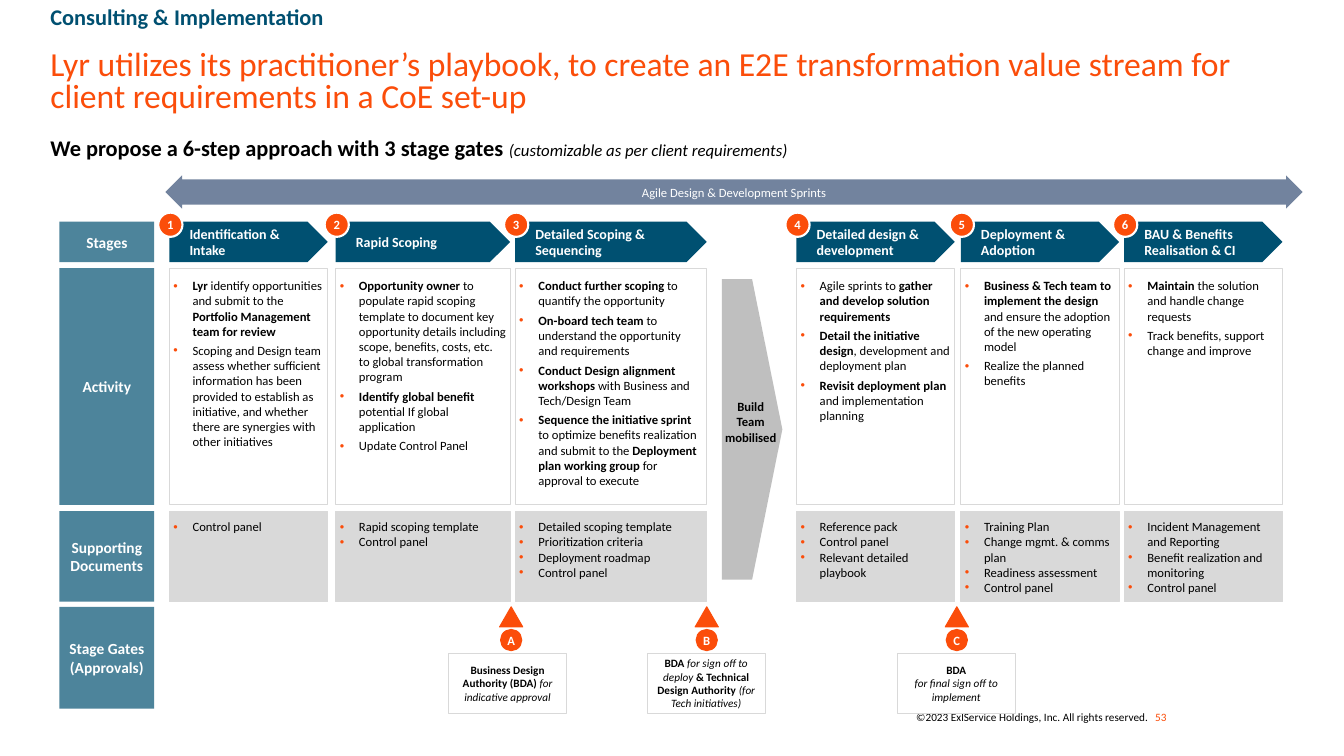
from lxml.etree import SubElement
from pptx import Presentation
from pptx.dml.color import RGBColor
from pptx.enum.shapes import MSO_SHAPE as Shape
from pptx.enum.text import MSO_ANCHOR as Anchor, PP_ALIGN as Align
from pptx.oxml.ns import qn
from pptx.util import Inches, Pt

ORANGE, NAVY, TEAL, SLATE = "FB4D0A", "005071", "4D849B", "72839E"
BLACK, WHITE, PALE, GREY = "000000", "FFFFFF", "D9D9D9", "BFBFBF"


def write(box, texts, size, color=BLACK, insets=(0, 0, 0, 0), align=Align.LEFT,
          anchor=Anchor.MIDDLE, bold=False, italic=False, bullet=False, gap=0, spacing=1.0):
    frame = box.text_frame
    frame.word_wrap = True
    frame.vertical_anchor = anchor
    frame.margin_left, frame.margin_top, frame.margin_right, frame.margin_bottom = map(Inches, insets)
    for number, text in enumerate(texts):
        para = frame.add_paragraph() if number else frame.paragraphs[0]
        para.alignment = align
        para.line_spacing = spacing
        para.space_before = Pt(gap if number else 0)
        if bullet:
            props = para._p.get_or_add_pPr()
            props.set("marL", str(Inches(0.19)))
            props.set("indent", str(Inches(-0.19)))
            SubElement(SubElement(props, qn("a:buClr")), qn("a:srgbClr"), val=ORANGE)
            SubElement(props, qn("a:buFont"), typeface="Arial")
            SubElement(props, qn("a:buChar"), char="•")
        para.font.name = "Calibri"
        para.font.size = Pt(size)
        para.font.color.rgb = RGBColor.from_string(color)
        for index, part in enumerate(text.split("*")):
            if part:
                span = para.add_run()
                span.text = part
                span.font.bold = bold or index % 2 == 1
                span.font.italic = italic and index % 2 == 0


def draw(kind, left, top, width, height, fill=None, line=None, weight=0.75):
    shape = page.shapes.add_shape(kind, *map(Inches, (left, top, width, height)))
    shape.shadow.inherit = False
    if fill:
        shape.fill.solid()
        shape.fill.fore_color.rgb = RGBColor.from_string(fill)
    else:
        shape.fill.background()
    if line:
        shape.line.color.rgb = RGBColor.from_string(line)
        shape.line.width = Pt(weight)
    else:
        shape.line.fill.background()
    return shape


deck = Presentation()
deck.slide_width, deck.slide_height = Inches(13.33), Inches(7.5)
page = deck.slides.add_slide(deck.slide_layouts[5])

title = page.shapes.title
title.left, title.top, title.width, title.height = map(Inches, (0.5, 0.5, 12.33, 0.74))
write(title, ["Lyr utilizes its practitioner’s playbook, to create an E2E transformation value stream "
              "for client requirements in a CoE set-up"], 24, ORANGE, anchor=Anchor.TOP, spacing=0.8)

EDGE = (0.1, 0.05, 0.1, 0.05)
captions = [
    ((0.5, 0.06, 9.09, 0.25), "*Consulting & Implementation*", 16, NAVY,
     dict(spacing=0.9)),
    ((0.5, 1.31, 12.5, 0.34), "*We propose a 6-step approach with 3 stage gates *(customizable as per client requirements)",
     16, BLACK, dict(insets=(0, 0.05, 0.1, 0.05), italic=True, spacing=0.9)),
    ((8.81, 7, 2.68, 0.24), "©2023 ExlService Holdings, Inc. All rights reserved.", 8, BLACK,
     dict(insets=EDGE, align=Align.RIGHT)),
    ((11.36, 7, 0.63, 0.24), "53", 8, ORANGE, dict(insets=EDGE)),
]
for place, text, size, color, style in captions:
    caption = page.shapes.add_textbox(*map(Inches, place))
    write(caption, [text], size, color, anchor=Anchor.TOP, **style)
    if style.get("italic"):
        caption.text_frame.paragraphs[0].runs[1].font.size = Pt(12)

sprints = draw(Shape.LEFT_RIGHT_ARROW, 1.64, 1.74, 11.28, 0.33, SLATE)
sprints.adjustments[0] = 0.757
write(sprints, ["Agile Design & Development Sprints"], 9, WHITE, (0.2, 0, 0.2, 0), Align.CENTER)

rows = [("Stages", 2.2, 0.4), ("Activity", 2.66, 2.35),
        ("Supporting Documents", 5.07, 0.9), ("Stage Gates (Approvals)", 6.02, 1.01)]
for name, top, height in rows:
    label = draw(Shape.RECTANGLE, 0.59, top, 0.94, height, TEAL)
    write(label, [name], 11, WHITE, (0.06, 0, 0.06, 0), Align.CENTER, bold=True)

stages = [
    (1.68, 1.57, "Identification & Intake",
     ["*Lyr *identify opportunities and submit to the *Portfolio Management team for review*",
      "Scoping and Design team assess whether sufficient information has been provided to establish "
      "as initiative, and whether there are synergies with other initiatives"],
     ["Control panel"]),
    (3.33, 1.73, "Rapid Scoping",
     ["*Opportunity owner *to populate rapid scoping template to document key opportunity details "
      "including scope, benefits, costs, etc. to global transformation program",
      "*Identify global benefit *potential If global application",
      "Update Control Panel"],
     ["Rapid scoping template", "Control panel"]),
    (5.11, 1.9, "Detailed Scoping & Sequencing",
     ["*Conduct further scoping* to quantify the opportunity",
      "*On-board tech team *to understand the opportunity and requirements",
      "*Conduct Design alignment workshops *with Business and Tech/Design Team",
      "*Sequence the initiative sprint *to optimize benefits realization and submit to the "
      "*Deployment plan working group *for approval to execute"],
     ["Detailed scoping template", "Prioritization criteria", "Deployment roadmap", "Control panel"]),
    (7.9, 1.57, "Detailed design & development",
     ["Agile sprints to *gather and develop solution requirements*",
      "*Detail the initiative design*, development and deployment plan",
      "*Revisit deployment plan *and implementation planning"],
     ["Reference pack", "Control panel", "Relevant detailed playbook"]),
    (9.53, 1.57, "Deployment & Adoption",
     ["*Business & Tech team to implement the design *and ensure the adoption of the new operating model",
      "Realize the planned benefits"],
     ["Training Plan", "Change mgmt. & comms plan", "Readiness assessment", "Control panel"]),
    (11.15, 1.57, "BAU & Benefits Realisation & CI",
     ["*Maintain* the solution and handle change requests",
      "Track benefits, support change and improve"],
     ["Incident Management and Reporting", "Benefit realization and monitoring", "Control panel"]),
]
(stage_top, stage_height), (activity_top, activity_height), (document_top, document_height) = [
    row[1:] for row in rows[:3]]
for number, (left, width, name, activities, documents) in enumerate(stages, 1):
    header = draw(Shape.PENTAGON, left, stage_top, width, stage_height, NAVY)
    write(header, [name], 10, WHITE, (0.2, 0, 0.08, 0), bold=True)
    activity = draw(Shape.RECTANGLE, left, activity_top, width, activity_height, line=PALE)
    write(activity, activities, 9, insets=(0.04, 0.1, 0 if number == 1 else 0.04, 0),
          anchor=Anchor.TOP, bullet=True, gap=3)
    document = draw(Shape.RECTANGLE, left, document_top, width, document_height, PALE, PALE)
    write(document, documents, 9, insets=(0.04, 0.08, 0.04, 0), anchor=Anchor.TOP, bullet=True)
    badge = draw(Shape.FLOWCHART_CONNECTOR, left - 0.11, 2.11, 0.24, 0.24, ORANGE, WHITE, 1.5)
    write(badge, [str(number)], 9, WHITE, align=Align.CENTER, bold=True)

draw(Shape.PENTAGON, 7.16, 2.77, 0.6, 2.98, GREY)
build = page.shapes.add_textbox(*map(Inches, (7.14, 3.95, 0.61, 0.47)))
write(build, ["Build", "Team mobilised"], 9, align=Align.CENTER, bold=True)

gates = [
    ("A", 5.07, 4.45, ["*Business Design Authority (BDA) *for indicative approval"]),
    ("B", 7.01, 6.42, ["*BDA *for sign off to deploy *& Technical Design Authority *(for Tech initiatives)"]),
    ("C", 9.49, 8.9, ["*BDA*", "for final sign off to implement"]),
]
for letter, center, left, approvals in gates:
    draw(Shape.ISOSCELES_TRIANGLE, center - 0.115, 6.02, 0.23, 0.2, ORANGE, ORANGE)
    badge = draw(Shape.FLOWCHART_CONNECTOR, center - 0.1, 6.25, 0.2, 0.2, ORANGE, ORANGE, 1.5)
    write(badge, [letter], 9, WHITE, align=Align.CENTER, bold=True)
    approval = draw(Shape.RECTANGLE, left, 6.48, 1.17, 0.6, line=PALE)
    write(approval, approvals, 8, insets=(0.04,) * 4, align=Align.CENTER, italic=True)

deck.save("out.pptx")
